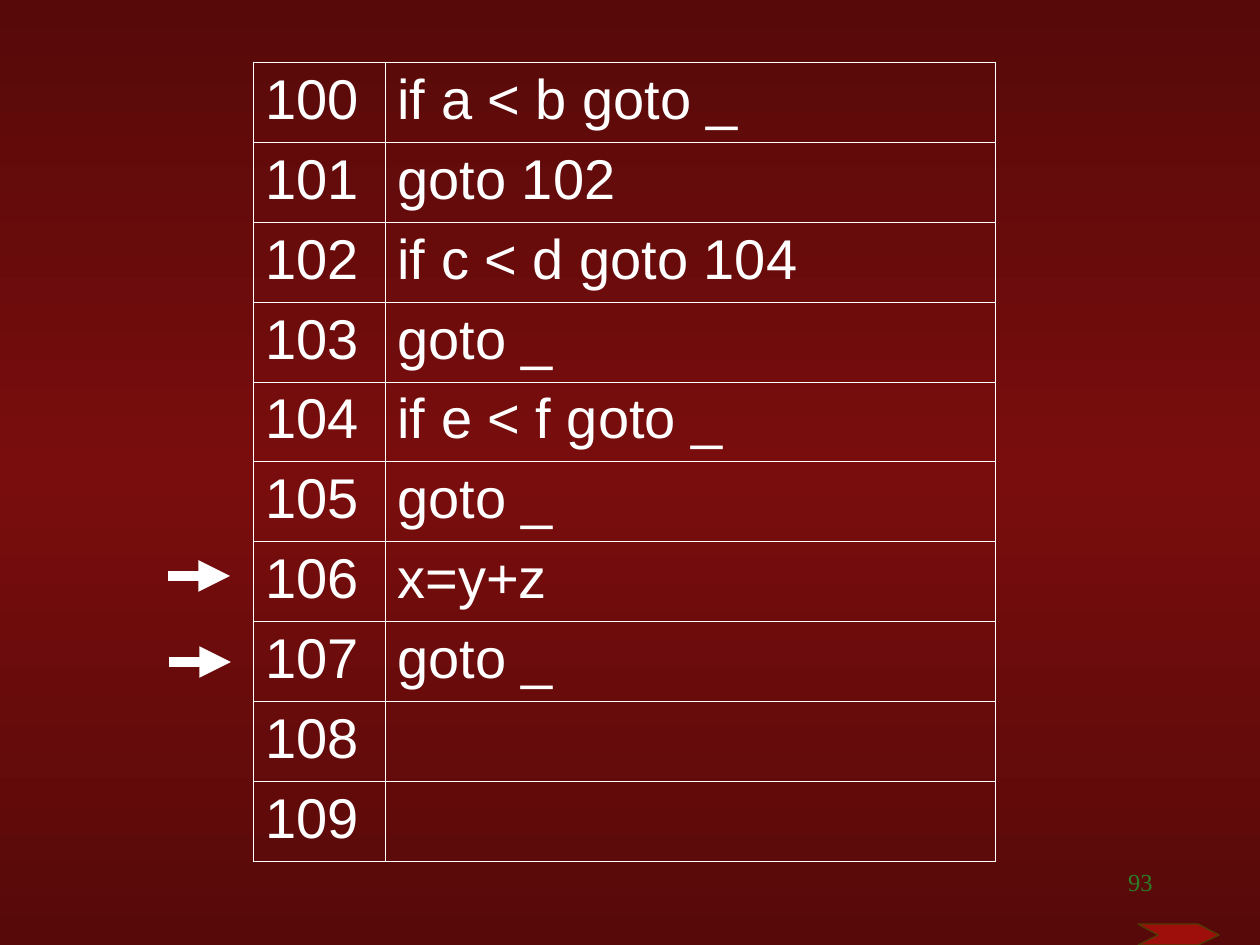
from copy import deepcopy

from pptx import Presentation
from pptx.dml.color import RGBColor
from pptx.enum.shapes import MSO_CONNECTOR as Connector
from pptx.enum.text import PP_ALIGN as Align
from pptx.oxml.ns import qn
from pptx.oxml.xmlchemy import OxmlElement
from pptx.util import Pt

PX = 914400 / 126
WHITE = RGBColor(0xFF, 0xFF, 0xFF)
DARK_RED = RGBColor(0x57, 0x09, 0x09)
MID_RED = RGBColor(0x79, 0x0D, 0x0D)
BRIGHT_RED = RGBColor(0x9E, 0x0E, 0x0A)
BROWN = RGBColor(0x50, 0x3C, 0x04)
GREEN = RGBColor(0x2B, 0x7D, 0x27)

FIRST_ADDRESS = 100
CODE = [
    "if a < b goto _", "goto 102", "if c < d goto 104", "goto _",
    "if e < f goto _", "goto _", "x=y+z", "goto _", "", "",
]


def emu(*pixels):
    return [round(value * PX) for value in pixels]


def add_child(parent, tag, **attributes):
    child = OxmlElement(tag)
    for name, value in attributes.items():
        child.set(name, str(value))
    parent.append(child)
    return child


class SlideBuilder:
    """Holds the text style and the current slide."""

    def __init__(self, slide, font="Arial", size=32, color=WHITE):
        self.slide = slide
        self.font, self.size, self.color = font, size, color

    def background(self, *colors):
        """Fill the background with evenly spaced vertical colour stops."""
        fill = self.slide.background.fill
        fill.gradient()
        fill.gradient_angle = 270
        stop_list = next(self.slide.element.iter(qn("a:gsLst")))
        for _ in colors[2:]:
            stop_list.insert(1, deepcopy(stop_list[0]))
        for index, (stop, color) in enumerate(zip(fill.gradient_stops, colors)):
            stop.position = index / (len(colors) - 1)
            stop.color.rgb = color

    def run(self, paragraph, text, font=None, size=None, color=None):
        run = paragraph.add_run()
        run.text = text
        run.font.name = font or self.font
        run.font.size = Pt(size or self.size)
        run.font.color.rgb = color or self.color

    def cell_borders(self, cell, color, width):
        properties = cell._tc.get_or_add_tcPr()
        for index, side in enumerate(("L", "R", "T", "B")):
            line = OxmlElement(f"a:ln{side}")
            line.set("w", str(Pt(width)))
            add_child(add_child(line, "a:solidFill"), "a:srgbClr", val=color)
            properties.insert(index, line)

    def table(self, left, top, widths, row_height, rows):
        frame = self.slide.shapes.add_table(
            len(rows), len(widths),
            *emu(left, top, sum(widths), row_height * len(rows)))
        table = frame.table
        table.first_row = table.horz_banding = False
        for column, width in zip(table.columns, emu(*widths)):
            column.width = width
        for row, texts in zip(table.rows, rows):
            row.height = emu(row_height)[0]
            for cell, text in zip(row.cells, texts):
                cell.fill.background()
                self.cell_borders(cell, WHITE, 0.45)
                if text:
                    self.run(cell.text_frame.paragraphs[0], text)

    def arrow(self, left, y, length):
        connector = self.slide.shapes.add_connector(
            Connector.STRAIGHT, *emu(left, y, left + length, y))
        connector.line.color.rgb = WHITE
        connector.line.width = Pt(6)
        add_child(connector.line._get_or_add_ln(), "a:tailEnd", type="triangle")
        add_child(connector._element.spPr, "a:effectLst")

    def polygon(self, points, fill, outline):
        builder = self.slide.shapes.build_freeform(*points[0], scale=PX)
        builder.add_line_segments(points[1:], close=True)
        shape = builder.convert_to_shape()
        shape.shadow.inherit = False
        shape.fill.solid()
        shape.fill.fore_color.rgb = fill
        shape.line.color.rgb = outline
        shape.line.width = Pt(0.75)

    def text(self, left, top, width, height, text, align, **style):
        frame = self.slide.shapes.add_textbox(
            *emu(left, top, width, height)).text_frame
        frame.word_wrap = True
        paragraph = frame.paragraphs[0]
        paragraph.alignment = align
        self.run(paragraph, text, **style)


def main():
    presentation = Presentation()
    presentation.slide_width, presentation.slide_height = emu(1260, 945)
    slide = presentation.slides.add_slide(presentation.slide_layouts[6])
    builder = SlideBuilder(slide)
    builder.background(DARK_RED, MID_RED, DARK_RED)

    rows = [(str(address), code)
            for address, code in enumerate(CODE, FIRST_ADDRESS)]
    builder.table(253, 62, (132, 610), 80, rows)
    for left, y in ((168, 576), (169, 662)):
        builder.arrow(left, y, 62)

    builder.polygon(
        [(1138, 924), (1198, 924), (1219, 935),
         (1198, 945), (1138, 945), (1158, 935)],
        BRIGHT_RED, BROWN)
    builder.text(903, 861, 262, 63, "93", Align.RIGHT,
                 font="Times New Roman", size=14, color=GREEN)
    presentation.save("out.pptx")


if __name__ == "__main__":
    main()
